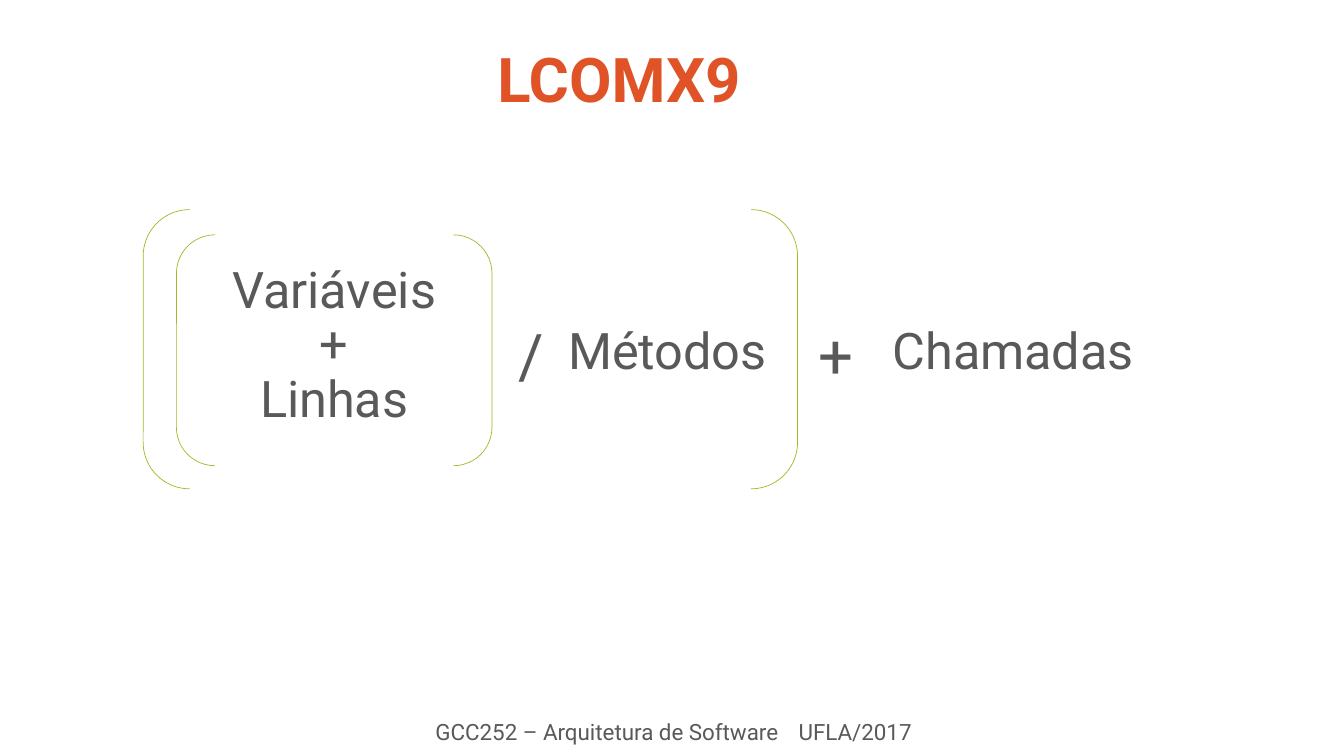
"""Build the LCOMX9 formula slide."""
import pptx
import pptx.util
import pptx.dml.color
import pptx.enum.shapes
import pptx.enum.text

Inches, Pt = pptx.util.Inches, pptx.util.Pt
Align = pptx.enum.text.PP_ALIGN

GREY, RED, GREEN = "595959", "DF5327", "A6B727"
ROW = 3.18

TEXTS = [
    (("Variáveis", "+", "Linhas"), (2.07, 2.58, 2.49, 1.79), 36, GREY, Align.CENTER),
    (("/",), (5.03, ROW, 0.47, 1.19), 44, GREY, Align.CENTER),
    (("Métodos",), (5.5, ROW, 2.24, 1.19), 36, GREY, Align.CENTER),
    (("+",), (8.06, ROW, 0.47, 1.19), 44, GREY, Align.CENTER),
    (("Chamadas",), (8.68, ROW, 2.74, 1.19), 36, GREY, Align.CENTER),
    (("LCOMX9",), (2.64, 0.44, 7, 0.93), 44, RED, Align.CENTER),
    (("GCC252 – Arquitetura de Software",), (0, 7.11, 7.72, 0.38), 16, GREY, Align.RIGHT),
    (("UFLA/2017",), (7.92, 7.11, 5.41, 0.38), 16, GREY, Align.LEFT),
]
PAIRS = [(1.75, 2.33, 3.13, 2.29), (1.42, 2.08, 6.49, 2.77)]


def color(code):
    return pptx.dml.color.RGBColor.from_string(code)


def write(slide, lines, place, size, code, align):
    frame = slide.shapes.add_textbox(*map(Inches, place)).text_frame
    frame.word_wrap = True
    frame.margin_left = frame.margin_right = 0
    for i, line in enumerate(lines):
        para = frame.add_paragraph() if i else frame.paragraphs[0]
        para.alignment = align
        para.line_spacing = 0.9
        run = para.add_run()
        run.text = line
        run.font.name = "Roboto"
        run.font.size = Pt(size)
        run.font.bold = code == RED
        run.font.color.rgb = color(code)


def bracket(slide, place):
    kind = pptx.enum.shapes.MSO_SHAPE.DOUBLE_BRACKET
    pair = slide.shapes.add_shape(kind, *map(Inches, place))
    pair.shadow.inherit = False
    pair.fill.background()
    pair.line.color.rgb = color(GREEN)
    pair.line.width = Pt(0.5)


def main():
    deck = pptx.Presentation()
    deck.slide_width, deck.slide_height = Inches(13.33), Inches(7.5)
    slide = deck.slides.add_slide(deck.slide_layouts[6])
    for place in PAIRS:
        bracket(slide, place)
    for item in TEXTS:
        write(slide, *item)
    deck.save("out.pptx")


if __name__ == "__main__":
    main()
